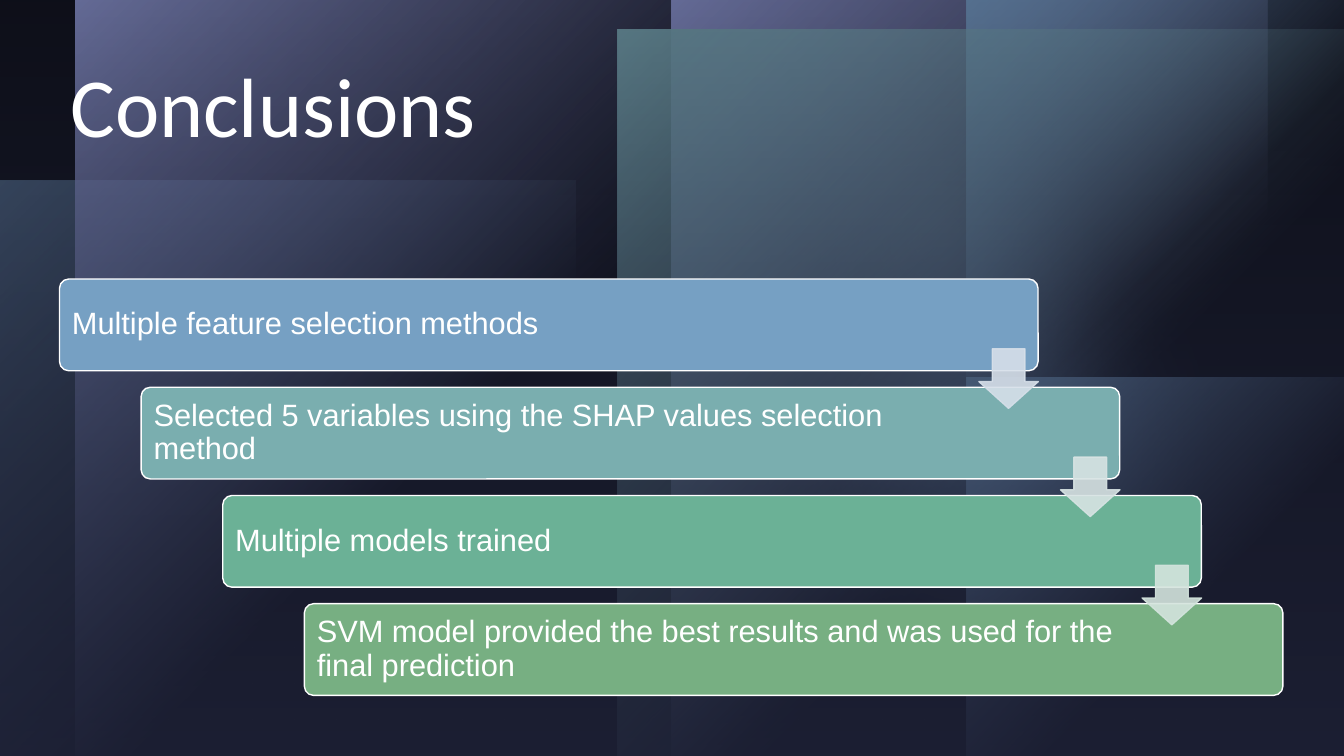
from lxml.etree import SubElement
from pptx import Presentation
from pptx.dml.color import RGBColor
from pptx.enum.shapes import MSO_SHAPE
from pptx.enum.text import MSO_ANCHOR, PP_ALIGN
from pptx.oxml import parse_xml
from pptx.oxml.ns import nsdecls, qn
from pptx.util import Pt

COLORS = {
    "black": "000000", "white": "FFFFFF", "navy": "242841",
    "blue": "76A0C3", "teal": "7AAEAF", "violet": "8F97CE",
    "mint": "6BB196", "green": "77AF82",
    "pale blue": "D6DFE9", "pale teal": "D7E3E3", "pale mint": "D4E4DD",
}
RADIAL = ('<a:path path="circle"><a:fillToRect l="0" t="0" r="100000" b="100000"/>'
          '</a:path>')
LINEAR = '<a:lin ang="5400000" scaled="0"/>'


def add_filled(kind, left, top, width, height, color, opacity=100, line=False):
    """Add a shape with a solid fill and, if asked, a matching 1 pt line."""
    sp = s.shapes.add_shape(kind, Pt(left), Pt(top), Pt(width), Pt(height))
    sp.shadow.inherit = False
    fills = [sp.fill]
    if line:
        sp.line.width = Pt(1)
        fills.append(sp.line.fill)
    else:
        sp.line.fill.background()
    for fill in fills:
        fill.solid()
        fill.fore_color.rgb = RGBColor.from_string(COLORS[color])
    for clr in sp.element.spPr.iter(qn("a:srgbClr")):
        SubElement(clr, qn("a:alpha"), val=str(opacity * 1000))
    return sp


def add_gradient(left, top, width, height, color, stops, direction):
    """Add a rectangle whose one colour changes opacity over (position, opacity) stops."""
    sp = add_filled(MSO_SHAPE.RECTANGLE, left, top, width, height, color)
    stop_xml = "".join(
        f'<a:gs pos="{pos * 1000}"><a:srgbClr val="{COLORS[color]}">'
        f'<a:alpha val="{opacity * 1000}"/></a:srgbClr></a:gs>'
        for pos, opacity in stops)
    grad = parse_xml(f'<a:gradFill {nsdecls("a")} rotWithShape="1">'
                     f'<a:gsLst>{stop_xml}</a:gsLst>{direction}</a:gradFill>')
    spPr = sp.element.spPr
    spPr.replace(spPr.find(qn("a:solidFill")), grad)


prs = Presentation()
prs.slide_width, prs.slide_height = Pt(960), Pt(540)
s = prs.slides.add_slide(prs.slide_layouts[6])
s.background.fill.solid()
s.background.fill.fore_color.rgb = RGBColor.from_string(COLORS["black"])

# Background: soft glows and fading panels under a navy veil
add_gradient(0, 129, 411, 411, "blue", [(0, 60), (60, 0)], RADIAL)
for left, top, size, color, opacity in [(502.5, 0, 340, "teal", 96),
                                        (481.5, 97, 433.5, "blue", 60)]:
    glow = add_filled(MSO_SHAPE.OVAL, left, top, size, size, color, opacity)
    effects = glow.element.spPr.find(qn("a:effectLst"))
    SubElement(effects, qn("a:softEdge"), rad=str(Pt(100)))
for left, top, width, height, color in [
    (479.5, 0, 425.5, 540, "violet"),
    (54, 0, 425.5, 540, "violet"),
    (690, 270, 270, 270, "blue"),
    (690, 0, 270, 270, "blue"),
    (441, 21, 519, 519, "teal"),
]:
    add_gradient(left, top, width, height, color, [(0, 100), (60, 0)], RADIAL)
add_gradient(0, 0, 960, 540, "navy", [(0, 40), (100, 80)], LINEAR)

# Title and the staircase of conclusions
title = s.shapes.add_textbox(Pt(43.2), Pt(42.5), Pt(872), Pt(142.5))
texts = [(title, "Conclusions", "Calibri", 60)]

STEP_X, STEP_Y = 58.3, 77.3
steps = [
    ("Multiple feature selection methods", "blue"),
    ("Selected 5 variables using the SHAP values selection method", "teal"),
    ("Multiple models trained", "mint"),
    ("SVM model provided the best results and was used for the final prediction",
     "green"),
]
for i, (text, color) in enumerate(steps):
    card = add_filled(MSO_SHAPE.ROUNDED_RECTANGLE, 42.5 + i * STEP_X,
                      199.3 + i * STEP_Y, 699, 65.5, color, line=True)
    card.adjustments[0] = 0.1
    card.line.color.rgb = RGBColor.from_string(COLORS["white"])
    tf = card.text_frame
    tf.vertical_anchor = MSO_ANCHOR.MIDDLE
    tf.margin_left, tf.margin_right = Pt(7), Pt(107)
    tf.margin_top = tf.margin_bottom = Pt(6.5)
    texts.append((card, text, "Arial", 22))

for i, color in enumerate(["pale blue", "pale teal", "pale mint"]):
    arrow = add_filled(MSO_SHAPE.DOWN_ARROW, 699.2 + i * STEP_X,
                       249.2 + i * STEP_Y, 42.5, 42.5, color, 90, line=True)
    arrow.adjustments[0], arrow.adjustments[1] = 0.55, 0.45

for sp, text, font, size in texts:
    sp.text_frame.word_wrap = True
    p = sp.text_frame.paragraphs[0]
    p.alignment = PP_ALIGN.LEFT
    p.line_spacing = 0.9
    r = p.add_run()
    r.text = text
    r.font.name, r.font.size = font, Pt(size)
    r.font.color.rgb = RGBColor.from_string(COLORS["white"])

prs.save("out.pptx")
